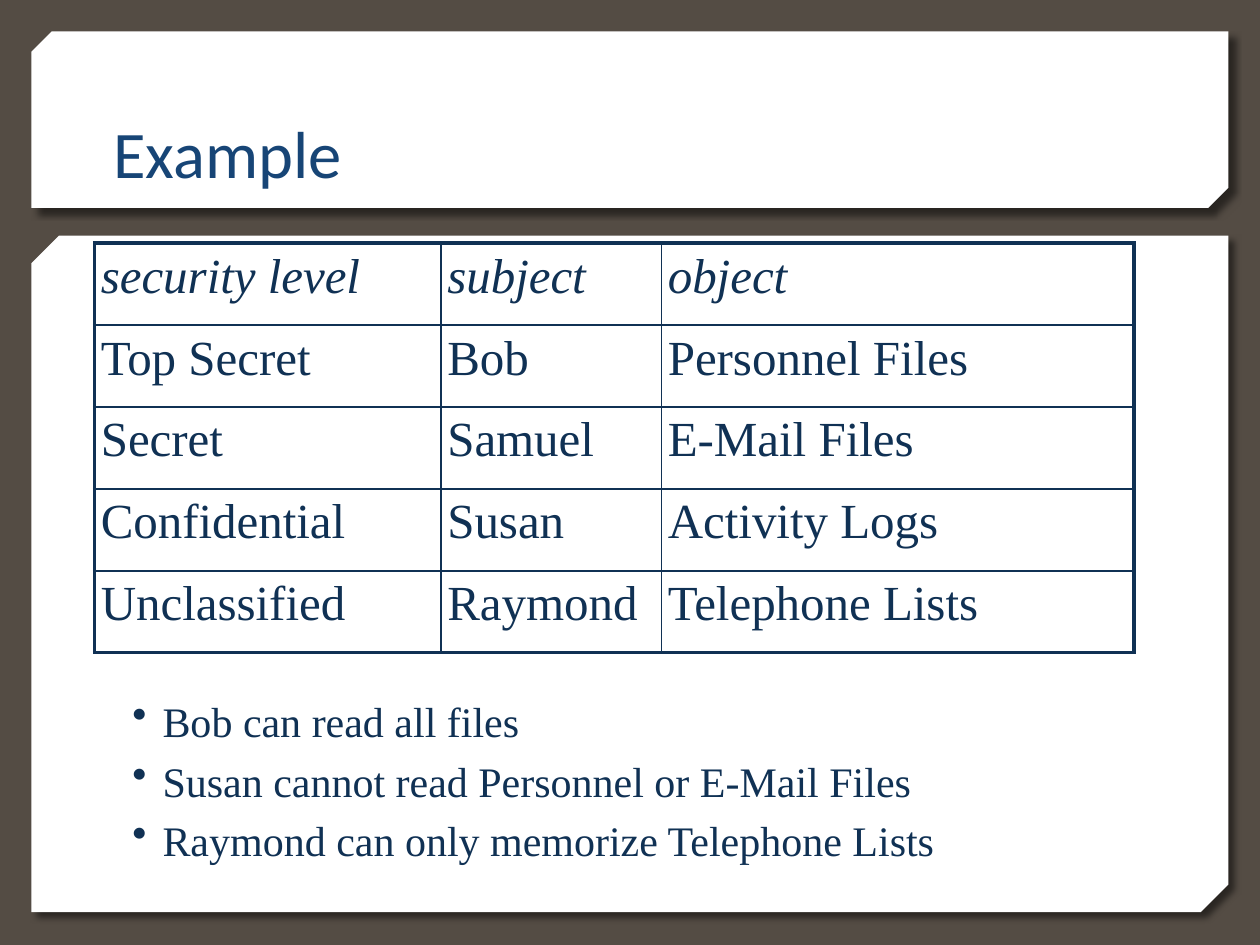
from dataclasses import dataclass

from lxml.etree import SubElement
from pptx import Presentation
from pptx.dml.color import RGBColor
from pptx.enum.text import MSO_ANCHOR, MSO_AUTO_SIZE
from pptx.oxml import parse_xml
from pptx.oxml.ns import nsdecls, qn
from pptx.slide import Slide
from pptx.util import Inches, Pt

BROWN = RGBColor(0x54, 0x4C, 0x44)
WHITE = RGBColor(0xFF, 0xFF, 0xFF)
BLUE = RGBColor(0x17, 0x45, 0x76)
NAVY = RGBColor(0x10, 0x31, 0x54)
WIDTH, HEIGHT = 10, 7.5
INSET = Inches(0.05)
ROWS = [
    ("security level", "subject", "object"),
    ("Top Secret", "Bob", "Personnel Files"),
    ("Secret", "Samuel", "E-Mail Files"),
    ("Confidential", "Susan", "Activity Logs"),
    ("Unclassified", "Raymond", "Telephone Lists"),
]
REMARKS = [
    "Bob can read all files",
    "Susan cannot read Personnel or E-Mail Files",
    "Raymond can only memorize Telephone Lists",
]
SHADOW = (
    f'<a:effectLst {nsdecls("a")}><a:outerShdw blurRad="{Pt(4)}" dist="{Pt(5)}" dir="2700000" '
    'algn="tl" rotWithShape="0"><a:srgbClr val="000000"><a:alpha val="50000"/></a:srgbClr>'
    "</a:outerShdw></a:effectLst>"
)


@dataclass
class SlideBuilder:
    """Draws each kind of element on the current slide in one style."""

    page: Slide
    body_font: str = "Times New Roman"
    title_font: str = "Calibri"
    thin: float = 1
    thick: float = 2.25

    def background(self, color):
        fill = self.page.background.fill
        fill.solid()
        fill.fore_color.rgb = color

    def panel(self, left, top, width, height, cut):
        right, bottom = left + width, top + height
        points = [(left, bottom), (right - cut, bottom), (right, bottom - cut),
                  (right, top), (left + cut, top), (left, top + cut)]
        corners = [(Inches(x), Inches(y)) for x, y in points]
        outline = self.page.shapes.build_freeform(*corners[0])
        outline.add_line_segments(corners[1:], close=True)
        shape = outline.convert_to_shape()
        shape.fill.solid()
        shape.fill.fore_color.rgb = WHITE
        shape.line.fill.background()
        shape._element.spPr.append(parse_xml(SHADOW))

    def add_span(self, para, text, size, font, color, italic=False):
        span = para.add_run()
        span.text = text
        span.font.name, span.font.size, span.font.italic = font, Pt(size), italic
        span.font.color.rgb = color

    def text_frame(self, left, top, width, height):
        box = self.page.shapes.add_textbox(*map(Inches, (left, top, width, height)))
        frame = box.text_frame
        frame.word_wrap = True
        frame.margin_left = frame.margin_right = frame.margin_top = frame.margin_bottom = INSET
        return frame

    def title(self, text, left, top, width, height):
        frame = self.text_frame(left, top, width, height)
        frame.vertical_anchor = MSO_ANCHOR.BOTTOM
        self.add_span(frame.paragraphs[0], text, 38, self.title_font, BLUE)

    def bullets(self, lines, left, top, width, height):
        frame = self.text_frame(left, top, width, height)
        frame.auto_size = MSO_AUTO_SIZE.SHAPE_TO_FIT_TEXT
        indent = Inches(0.24)
        for index, text in enumerate(lines):
            para = frame.add_paragraph() if index else frame.paragraphs[0]
            properties = para._p.get_or_add_pPr()
            properties.set("marL", str(indent))
            properties.set("indent", str(-indent))
            SubElement(properties, qn("a:buChar"), char="•")
            para.line_spacing = 0.7
            if index:
                para.space_before = Pt(14)
            self.add_span(para, text, 24, self.body_font, NAVY)

    def borders(self, cell, outer_sides):
        properties = cell._tc.get_or_add_tcPr()
        for side in "LRTB":
            width = Pt(self.thick if side in outer_sides else self.thin)
            line = SubElement(properties, qn(f"a:ln{side}"), w=str(width))
            fill = SubElement(line, qn("a:solidFill"))
            SubElement(fill, qn("a:srgbClr"), val=str(NAVY))

    def table(self, rows, left, top, column_widths, row_height):
        last_row, last_column = len(rows) - 1, len(column_widths) - 1
        frame = self.page.shapes.add_table(
            len(rows), len(column_widths), Inches(left), Inches(top),
            Inches(sum(column_widths)), Inches(row_height * len(rows)))
        table = frame.table
        table.first_row = table.horz_banding = False
        for column, width in zip(table.columns, column_widths):
            column.width = Inches(width)
        for r, texts in enumerate(rows):
            table.rows[r].height = Inches(row_height)
            for c, text in enumerate(texts):
                cell = table.cell(r, c)
                cell.margin_left = cell.margin_right = cell.margin_top = cell.margin_bottom = INSET
                edges = {"L": c == 0, "R": c == last_column, "T": r == 0, "B": r == last_row}
                self.borders(cell, [side for side, outer in edges.items() if outer])
                cell.fill.background()
                self.add_span(cell.text_frame.paragraphs[0], text, 28, self.body_font, NAVY, r == 0)


def main():
    deck = Presentation()
    deck.slide_width, deck.slide_height = Inches(WIDTH), Inches(HEIGHT)
    builder = SlideBuilder(deck.slides.add_slide(deck.slide_layouts[6]))
    margin = WIDTH / 40
    panel_width = WIDTH - 2 * margin
    builder.background(BROWN)
    builder.panel(margin, 1.87, panel_width, 5.37, cut=0.22)
    builder.panel(margin, margin, panel_width, 1.4, cut=0.16)
    builder.title("Example", 0.85, 0.32, 8.29, 1.25)
    builder.table(ROWS, 3 * margin, 1.93, (2.75, 1.75, 3.75), 0.65)
    builder.bullets(REMARKS, 4 * margin, 5.58, 8.23, 1.47)
    deck.save("out.pptx")


if __name__ == "__main__":
    main()
